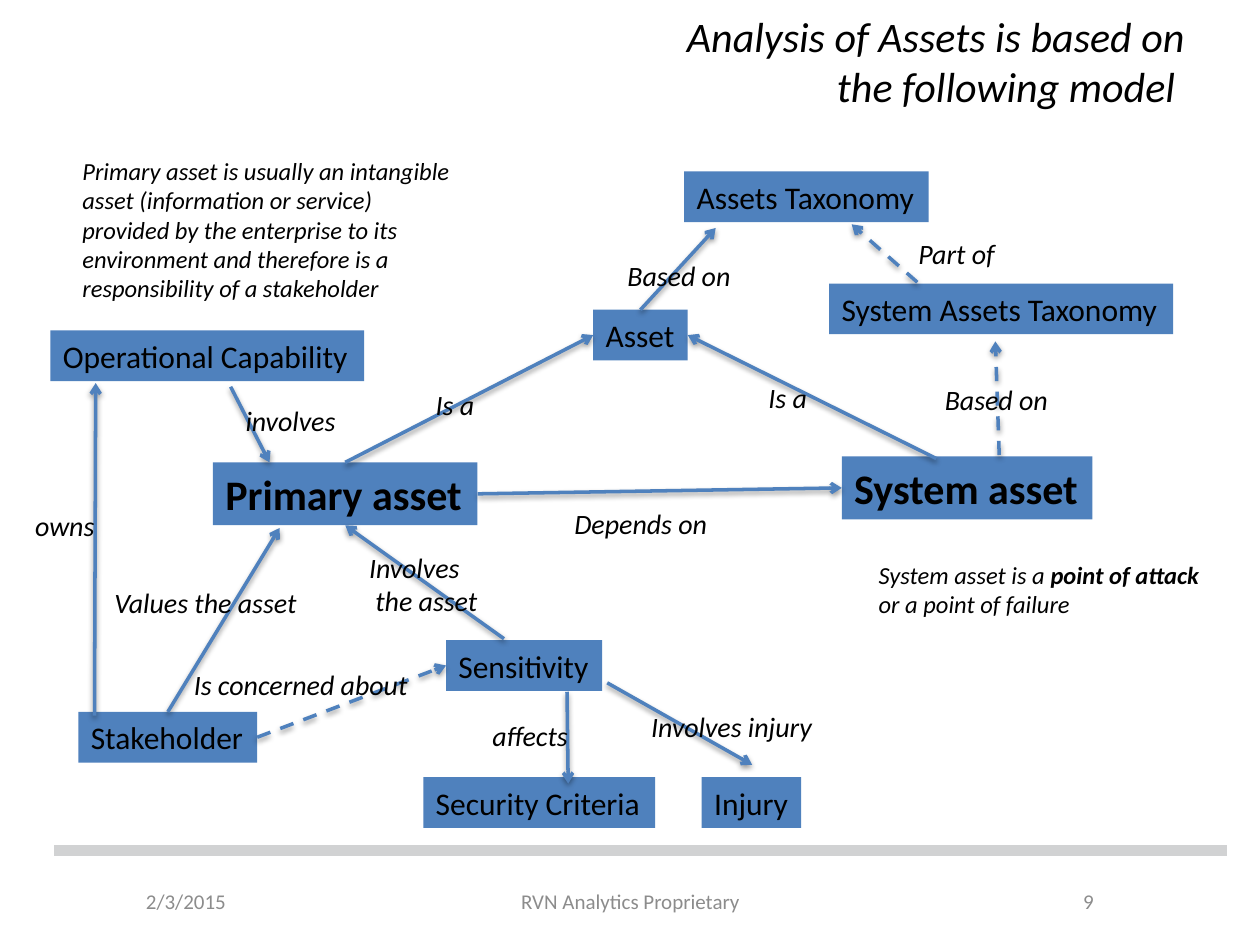
from pptx import Presentation
from pptx.util import Pt
from pptx.dml.color import RGBColor
from pptx.enum.dml import MSO_LINE as Dash
from pptx.enum.shapes import MSO_CONNECTOR as Conn, MSO_SHAPE as Shape
from pptx.enum.text import MSO_ANCHOR as Anchor, MSO_AUTO_SIZE as Auto, PP_ALIGN as Align
from pptx.oxml import parse_xml
from pptx.oxml.ns import nsdecls


def color(code):
    return RGBColor.from_string(code)


def write(shape, parts, size, italic=False, wrap=False, ink="000000"):
    frame = shape.text_frame
    frame.word_wrap = wrap
    frame.auto_size = Auto.SHAPE_TO_FIT_TEXT
    para = frame.paragraphs[0]
    para.alignment = Align.LEFT
    for text, bold in parts:
        for i, line in enumerate(text.split("\v")):
            if i:
                para.add_line_break()
            run = para.add_run()
            run.text = line
            font = run.font
            font.name, font.size = "Calibri", Pt(size)
            font.bold, font.italic = bold, italic
            font.color.rgb = color(ink)
    return frame


deck = Presentation()
deck.slide_width, deck.slide_height = Pt(720), Pt(540)
slide = deck.slides.add_slide(deck.slide_layouts[6])
shapes = slide.shapes

rule = shapes.add_connector(Conn.STRAIGHT, Pt(31), Pt(486), Pt(701.3), Pt(486))
rule.line.color.rgb = color("D1D2D3")
rule.line.width = Pt(6)
rule._element.spPr.append(parse_xml(f"<a:effectLst {nsdecls('a')}/>"))

for text, left, top, width, high, size, italic, ink, align in [
    ("2/3/2015", 76.3, 500.4, 127.4, 28.8, 12, False, "8C8C8C", Align.LEFT),
    ("RVN Analytics Proprietary", 246.2, 500.4, 228.2, 28.8, 12, False, "8C8C8C", Align.CENTER),
    ("9", 516.2, 500.4, 115.9, 28.8, 12, False, "8C8C8C", Align.RIGHT),
    ("Analysis of Assets is based on\vthe following model ", 36, 15, 648, 39.6, 24, True, "000000", Align.RIGHT),
]:
    area = shapes.add_textbox(Pt(left), Pt(top), Pt(width), Pt(high))
    frame = write(area, [(text, False)], size, italic, True, ink)
    frame.auto_size = Auto.NONE
    frame.vertical_anchor = Anchor.MIDDLE
    frame.paragraphs[0].alignment = align

boxes = {}
for name, left, top, width in [
    ("Asset", 339, 177, 54),
    ("Primary asset", 121.7, 264.2, 151.2),
    ("System asset", 481, 260.8, 143.3),
    ("Assets Taxonomy", 391, 98, 139.7),
    ("System Assets Taxonomy", 473.8, 162, 196.6),
    ("Operational Capability", 28.8, 188.8, 179.3),
    ("Sensitivity", 254.9, 365.8, 89.3),
    ("Stakeholder", 44.8, 406.8, 102.2),
    ("Security Criteria", 241.9, 444.1, 132.5),
    ("Injury", 401, 444.1, 56.9),
]:
    main = name in ("Primary asset", "System asset")
    box = shapes.add_shape(Shape.RECTANGLE, Pt(left), Pt(top), Pt(width), Pt(36 if main else 29))
    box.shadow.inherit = False
    box.fill.solid()
    box.fill.fore_color.rgb = color("4F81BD")
    box.line.fill.background()
    write(box, [(name, main)], 24 if main else 18)
    boxes[name] = box

shade = (
    f"<a:effectLst {nsdecls('a')}>"
    '<a:outerShdw blurRad="40000" dist="20000" dir="5400000" rotWithShape="0">'
    '<a:srgbClr val="000000"><a:alpha val="38000"/></a:srgbClr>'
    "</a:outerShdw></a:effectLst>"
)
for start, end, dashed in [
    (("Primary asset", 0), ("Asset", 1), False),
    ((535, 262), ("Asset", 3), False),
    (("Asset", 0), (409, 130.3), False),
    (("Primary asset", 3), ("System asset", 1), False),
    ((571, 260), (568.8, 195.1), True),
    ((524.2, 161.3), (486.7, 128.2), True),
    ((324, 395.3), (324.7, 447.8), False),
    (("Stakeholder", 0), (159.8, 301.7), False),
    ((288, 365), ("Primary asset", 2), False),
    (("Stakeholder", 3), ("Sensitivity", 1), True),
    ((131.8, 221), (154, 264.2), False),
    ((54, 409), (54.7, 218.9), False),
    ((347, 390.2), (429.8, 437), False),
]:
    ends = [(0, 0) if p[0] in boxes else p for p in (start, end)]
    link = shapes.add_connector(Conn.STRAIGHT, *[Pt(v) for p in ends for v in p])
    if start[0] in boxes:
        link.begin_connect(boxes[start[0]], start[1])
    if end[0] in boxes:
        link.end_connect(boxes[end[0]], end[1])
    link.line.color.rgb = color("4F81BD")
    link.line.width = Pt(2)
    if dashed:
        link.line.dash_style = Dash.DASH
    link.line._get_or_add_ln().append(parse_xml(f'<a:tailEnd {nsdecls("a")} type="arrow"/>'))
    link._element.spPr.append(parse_xml(shade))

for text, left, top, width in [
    ("Is a", 241.9, 218.2, 41),
    ("Depends on", 321.1, 285.8, 95),
    ("Based on", 351.4, 144, 77.8),
    ("Based on", 532.8, 215.3, 77.8),
    ("Part of", 517.7, 131.8, 62.6),
    ("Is a", 432, 213.8, 41),
    ("affects", 274.3, 406.8, 61.9),
    ("Values the asset", 58.3, 331.2, 122.4),
    ("Involves\v the asset", 203.8, 311, 81.4),
    ("involves", 133.2, 226.8, 70.6),
    ("Is concerned about", 103.7, 378, 141.8),
    ("owns", 13, 287.3, 52.6),
    ("Involves injury", 365, 401.8, 111.6),
]:
    label = shapes.add_textbox(Pt(left), Pt(top), Pt(width), Pt(46 if "\v" in text else 26.6))
    write(label, [(text, False)], 16, italic=True)

usual = (
    "Primary asset is usually an intangible asset (information or service) provided by the "
    "enterprise to its environment and therefore is a responsibility of a stakeholder"
)
attack = [("System asset is a ", False), ("point of attack ", True), ("or a point of failure", False)]
for parts, left, top, width, high in [
    ([(usual, False)], 40, 85.5, 224.6, 92.2),
    (attack, 495, 316.5, 200.2, 41),
]:
    note = shapes.add_textbox(Pt(left), Pt(top), Pt(width), Pt(high))
    write(note, parts, 14, italic=True, wrap=True)

deck.save("out.pptx")
